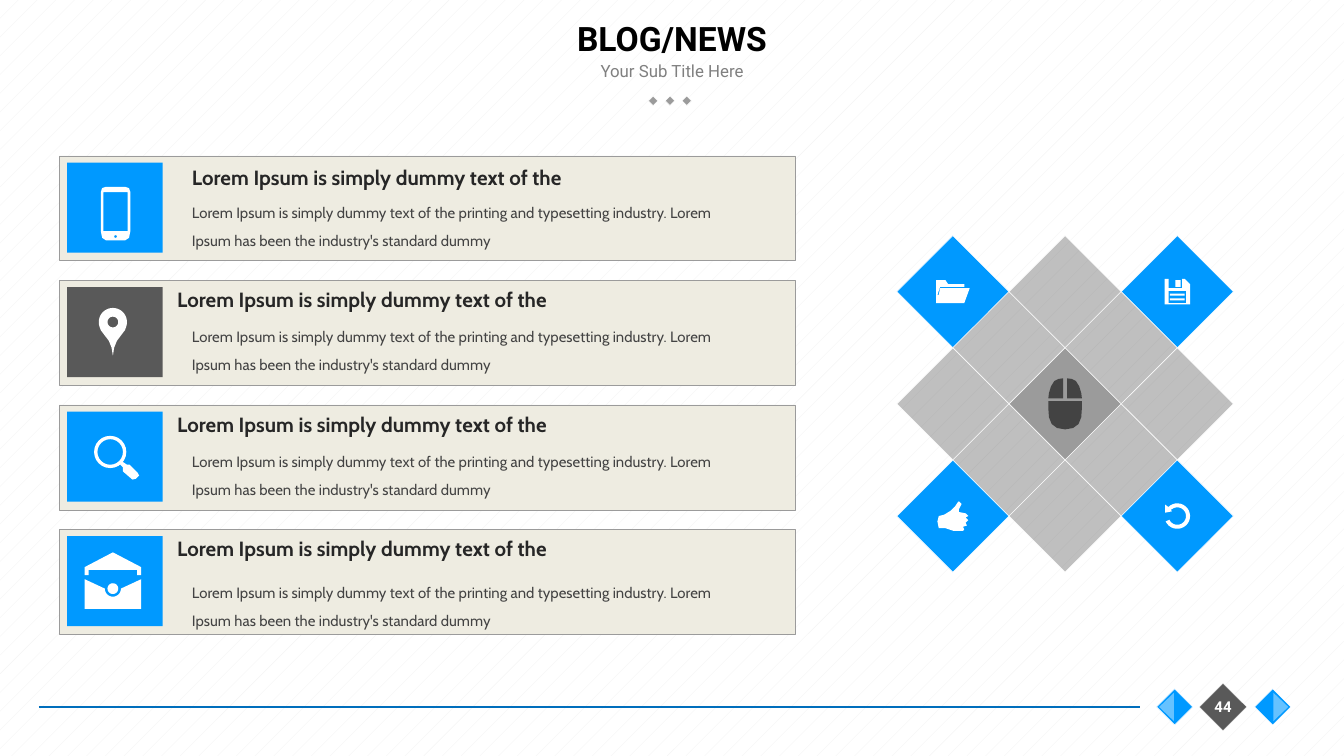
"""Build the BLOG/NEWS slide: four text panels, a diamond lattice and a footer."""
from math import cos, radians, sin

from lxml import etree
from pptx import Presentation
from pptx.dml.color import RGBColor
from pptx.enum.dml import MSO_PATTERN
from pptx.enum.shapes import MSO_CONNECTOR, MSO_SHAPE
from pptx.enum.text import MSO_ANCHOR, MSO_AUTO_SIZE, PP_ALIGN
from pptx.oxml.ns import qn
from pptx.util import Inches, Pt

RECT, TRIANGLE = MSO_SHAPE.RECTANGLE, MSO_SHAPE.FLOWCHART_EXTRACT
MIDDLE, TOP = MSO_ANCHOR.MIDDLE, MSO_ANCHOR.TOP
CENTER, LEFT = PP_ALIGN.CENTER, PP_ALIGN.LEFT
STRAIGHT, NO_FIT = MSO_CONNECTOR.STRAIGHT, MSO_AUTO_SIZE.NONE
PERCENT_5 = MSO_PATTERN.PERCENT_5
BLUE, PALE_BLUE, DARK, GREY, WHITE = "0099FF", "66C2FF", "595959", "9B9B9B", "FFFFFF"


def arc(cx, cy, radius, start=0, end=360, steps=24):
    angles = [radians(start + (end - start) * i / steps) for i in range(steps + 1)]
    return [(cx + radius * cos(a), cy + radius * sin(a)) for a in angles]


def box(left, top, right, bottom):
    return [(left, top), (right, top), (right, bottom), (left, bottom)]


def mirrored(points):
    return points + [(-x, y) for x, y in reversed(points)]


MOUSE_BUTTON = [(-1.5, -19), (-5, -18.5), (-8, -17), (-10.5, -13), (-12, -8),
                (-12.5, -4), (-1.5, -4)]
ICONS = {
    "phone": [mirrored([(0, -20), (-7, -20), (-10, -19), (-11, -16), (-11, 13),
                        (-10, 18), (-7, 20), (0, 20)]),
              box(-9, -16, 9, 13), arc(0, 17, 1)],
    "pin": [arc(0, 0, 10.5, 160, 380) + [(9, 6), (3, 14), (1, 19), (0, 25),
                                         (-1, 19), (-3, 14), (-9, 6)],
            arc(0, 0, 4)],
    "lens": [arc(0, 0, 12), arc(0, 0, 9.5),
             [(7.5, 9.5), (9.5, 11.5), (9.5, 14.5), (16.5, 20.5), (19, 20),
              (21.5, 17.5), (20.5, 15.5), (14.5, 9.5), (12.5, 9.5), (9.5, 7.5)]],
    "envelope": [mirrored([(0, -27), (-21, -16), (-21, -10), (-18, -10), (-18, -14)]),
                 [(-21, -7)] + arc(0, 0, 6, 180, 0) + [(21, -7), (21, 15), (-21, 15)],
                 arc(0, 0, 4)],
    "folder": [[(8.5, -2.5), (-9.5, -2.5), (-10.5, 2.5), (-11.5, 2.5), (-9.5, -3.5),
                (8.5, -3.5), (8.5, -5.5), (-3.5, -5.5), (-5.5, -8.5), (-12.5, -8.5),
                (-12.5, 8.5), (8.5, 8.5), (12.5, -2.5)]],
    "disk": [[(-9.5, -9.5), (-6.5, -9.5), (-6.5, -2.5), (3.5, -2.5), (3.5, -9.5),
              (5.5, -9.5), (9.5, -5.5), (9.5, 9.5), (-9.5, 9.5)],
             box(-1.5, -8.5, 2.5, -3.5), box(-6.5, -0.5, 6.5, 8.5),
             box(-5.5, 1.5, 5.5, 3), box(-5.5, 5, 5.5, 6.5)],
    "thumb": [[(9.5, 1), (11.5, 0), (9.5, -2), (4.5, -3), (4.5, -5), (6.5, -9),
               (4.5, -11), (3.5, -10), (1.5, -7), (-1.5, -4), (-6.5, -1), (-10.5, 0),
               (-11.5, 4), (-10.5, 9), (-5.5, 9), (0.5, 11), (7.5, 11), (8.5, 10),
               (7.5, 8), (10.5, 7), (9.5, 5), (11.5, 3)]],
    "undo": [arc(0, 0, 9.5, 155, -135) + [(-9, -8.5), (-9, -2.5), (-4, -3.5), (-5, -5)]
             + arc(0, 0, 6.5, -130, 155)],
    "mouse": [mirrored([(-12.5, -2), (-12.5, 3), (-12, 10), (-10, 15), (-6, 18), (0, 19)]),
              MOUSE_BUTTON, [(-x, y) for x, y in MOUSE_BUTTON]],
}

HEADING = "Lorem Ipsum is simply dummy text of the"
BODY = ("Lorem Ipsum is simply dummy text of the printing and typesetting industry. "
        "Lorem Ipsum has been the industry's standard dummy")
# icon, tile colour, icon centre x and y in the panel, heading left and offset, body offset
PANELS = [
    ("phone", BLUE, 0.86, 0.43, 1.33, 0.02, 0.23),
    ("pin", DARK, 0.84, 0.31, 1.22, 0, 0.23),
    ("lens", BLUE, 0.82, 0.35, 1.22, 0, 0.23),
    ("envelope", BLUE, 0.84, 0.44, 1.22, 0, 0.28),
]
LATTICE_ICONS = {(0, 0): "folder", (4, 0): "disk", (0, 4): "thumb", (4, 4): "undo",
                 (2, 2): "mouse"}
PANEL_TOP, PANEL_STEP = 1.16, 2.78 / 3
LATTICE_LEFT, LATTICE_TOP, LATTICE_STEP = 7.09, 2.17, 1.67 / 4
FOOTER_Y = 5.26


def rgb(value):
    return RGBColor.from_string(value)


def paint(sp, fill, line=None, alpha=None):
    sp.shadow.inherit = False
    sp.fill.solid()
    sp.fill.fore_color.rgb = rgb(fill)
    if alpha:
        color = sp._element.spPr.find(qn("a:solidFill"))[0]
        etree.SubElement(color, qn("a:alpha")).set("val", str(alpha * 1000))
    if line:
        sp.line.color.rgb = rgb(line)
        sp.line.width = Pt(0.25)
    else:
        sp.line.fill.background()


def add_shape(s, kind, at, fill, line=None, rotation=0, alpha=None):
    sp = s.shapes.add_shape(kind, *map(Inches, at))
    sp.rotation = rotation
    paint(sp, fill, line, alpha)


def add_diamond(s, cx, cy, side, fill, alpha=None):
    at = (cx - side / 2, cy - side / 2, side, side)
    add_shape(s, RECT, at, fill, WHITE, 315, alpha)


def add_icon(s, name, cx, cy, fill=WHITE):
    contours = [[(Inches(cx + x / 100), Inches(cy + y / 100)) for x, y in contour]
                for contour in ICONS[name]]
    builder = s.shapes.build_freeform(*contours[0][0])
    for i, contour in enumerate(contours):
        if i:
            builder.move_to(*contour[0])
        builder.add_line_segments(contour[1:], close=True)
    paint(builder.convert_to_shape(), fill)


def set_text(sp, at, text, size, font, color, bold=False, align=LEFT, anchor=TOP,
             spacing=None):
    sp.left, sp.top, sp.width, sp.height = map(Inches, at)
    tf = sp.text_frame
    tf.word_wrap = True
    tf.auto_size = NO_FIT
    tf.vertical_anchor = anchor
    p = tf.paragraphs[0]
    p.alignment = align
    p.space_before = Pt(0)
    if spacing:
        p.line_spacing = Pt(spacing)
    r = p.add_run()
    r.text = text
    r.font.size, r.font.name, r.font.bold = Pt(size), font, bold
    r.font.color.rgb = rgb(color)


def add_text(s, at, *args, **kwargs):
    set_text(s.shapes.add_textbox(0, 0, 0, 0), at, *args, **kwargs)


def add_header(s):
    set_text(s.shapes.title, (0.75, 0, 8.5, 0.56), "BLOG/NEWS", 18, "Roboto", "000000",
             True, CENTER, MIDDLE)
    set_text(s.placeholders[1], (3.75, 0.4, 2.5, 0.25), "Your Sub Title Here", 9,
             "Roboto", "808080", False, CENTER, MIDDLE)
    for i in range(3):
        add_diamond(s, 4.86 + 0.25 * i / 2, 0.75, 0.05, GREY)


def add_panels(s):
    for i, (icon, color, icon_x, icon_y, head_x, head_dy, body_dy) in enumerate(PANELS):
        top = PANEL_TOP + PANEL_STEP * i
        add_shape(s, RECT, (0.44, top, 5.48, 0.78), "EEECE1", GREY)
        add_text(s, (1.33, top + body_dy, 4.16, 0.5), BODY, 8, "Cabin", "434343",
                 spacing=15)
        add_text(s, (head_x, top + head_dy, 3.14, 0.29), HEADING, 11, "Cabin", "262626",
                 True)
        add_shape(s, RECT, (0.5, top + 0.05, 0.71, 0.67), color)
        add_icon(s, icon, icon_x, top + icon_y)


def add_lattice(s):
    cells = [(c, r) for r in range(5) for c in range(5) if (c + r) % 2 == 0]
    for col, row in cells:
        cx, cy = LATTICE_LEFT + LATTICE_STEP * col, LATTICE_TOP + LATTICE_STEP * row
        icon = LATTICE_ICONS.get((col, row))
        if icon is None:
            add_diamond(s, cx, cy, 0.59, "494949", 35)
            continue
        middle = icon == "mouse"
        add_diamond(s, cx, cy, 0.59, GREY if middle else BLUE)
        add_icon(s, icon, cx, cy, "434343" if middle else WHITE)


def add_footer(s):
    line = s.shapes.add_connector(STRAIGHT, Inches(0.29), Inches(FOOTER_Y),
                                  Inches(8.48), Inches(FOOTER_Y))
    line.line.color.rgb = rgb("006EBC")
    line.line.width = Pt(0.75)
    etree.SubElement(line._element.spPr, qn("a:effectLst"))
    add_diamond(s, 9.1, FOOTER_Y, 0.25, DARK)
    for cx, side, rotation in ((8.74, -1, 270), (9.47, 1, 90)):
        add_diamond(s, cx, FOOTER_Y, 0.19, BLUE)
        add_shape(s, TRIANGLE, (cx + 0.06 * side - 0.21 / 2, FOOTER_Y - 0.11 / 2, 0.21, 0.11),
                  PALE_BLUE, rotation=rotation)
    add_text(s, (8.89, FOOTER_Y - 0.13, 0.42, 0.25), "44", 8, "Roboto", WHITE, True,
             CENTER, MIDDLE)


def main():
    prs = Presentation()
    prs.slide_width, prs.slide_height = Inches(10), Inches(10 * 9 / 16)
    s = prs.slides.add_slide(prs.slide_layouts[0])
    fill = s.background.fill
    fill.patterned()
    fill.pattern = PERCENT_5
    fill.fore_color.rgb, fill.back_color.rgb = rgb("F2F2F2"), rgb(WHITE)
    add_header(s)
    add_panels(s)
    add_lattice(s)
    add_footer(s)
    prs.save("out.pptx")


if __name__ == "__main__":
    main()
